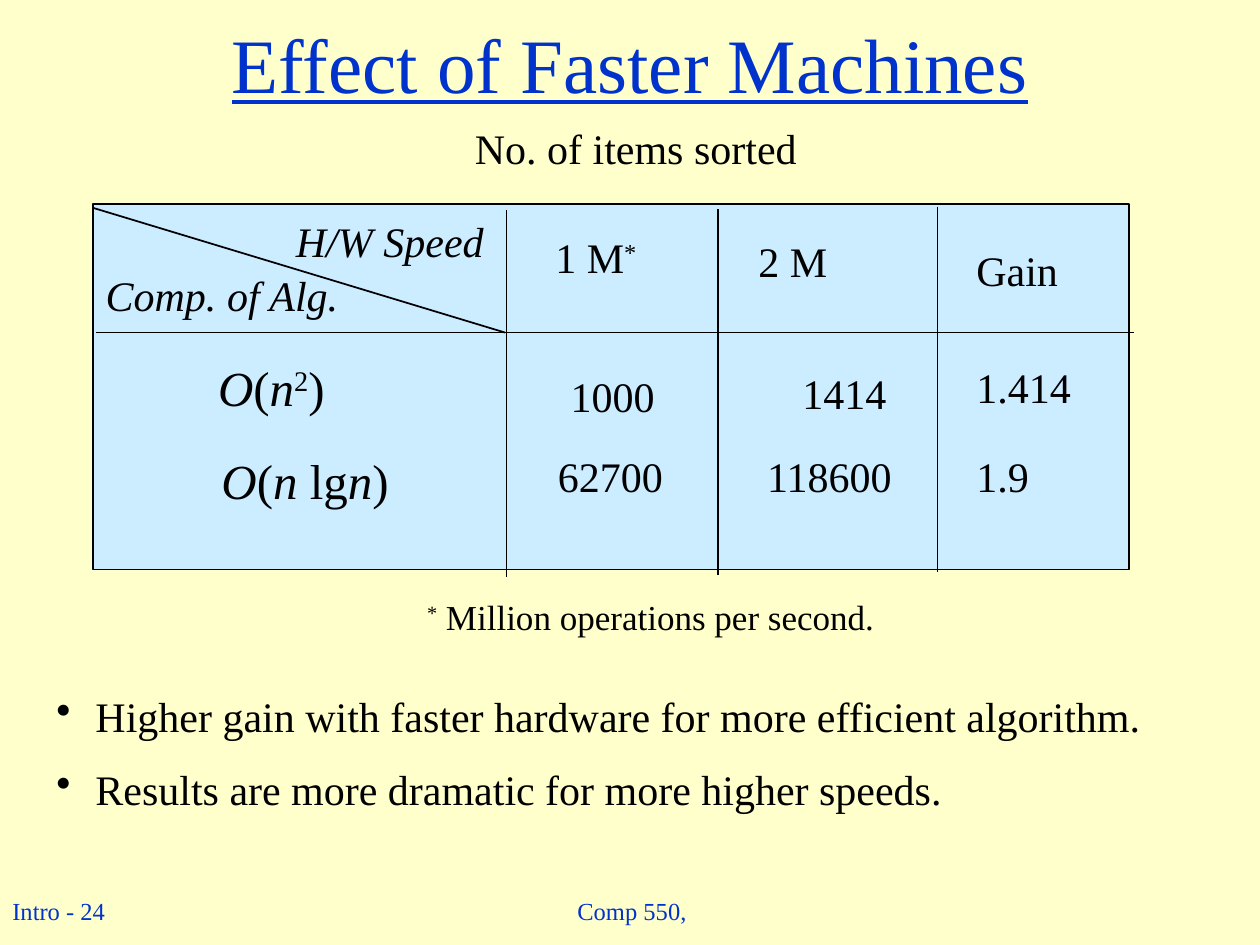
from lxml import etree
from pptx import Presentation
from pptx.dml.color import RGBColor
from pptx.enum.shapes import MSO_CONNECTOR, MSO_SHAPE
from pptx.enum.text import MSO_ANCHOR, PP_ALIGN
from pptx.oxml.ns import qn
from pptx.util import Inches, Pt

CENTER, LEFT = PP_ALIGN.CENTER, PP_ALIGN.LEFT
TOP, MIDDLE = MSO_ANCHOR.TOP, MSO_ANCHOR.MIDDLE
COLORS = {name: RGBColor.from_string(value) for name, value in {
    "background": "FFFFCC", "panel": "CCECFF", "blue": "0033CC", "black": "000000",
}.items()}


def write_runs(paragraph, runs, size=24, color="black", underline=None):
    """Add (text, style) runs; a style is "", "italic" or "super"."""
    for text, style in runs:
        run = paragraph.add_run()
        run.text = text
        font_format = {"name": "Times New Roman", "size": Pt(size),
                       "italic": style == "italic", "underline": underline}
        for attribute, value in font_format.items():
            setattr(run.font, attribute, value)
        run.font.color.rgb = COLORS[color]
        if style == "super":
            run._r.get_or_add_rPr().set("baseline", "30000")


def add_text(left, top, width, height, runs, align=LEFT, anchor=TOP, wrap=False, **font):
    box = slide.shapes.add_textbox(*map(Inches, (left, top, width, height)))
    frame = box.text_frame
    frame.word_wrap = wrap
    frame.vertical_anchor = anchor
    frame.paragraphs[0].alignment = align
    write_runs(frame.paragraphs[0], runs, **font)


presentation = Presentation()
presentation.slide_width, presentation.slide_height = Inches(10), Inches(7.5)
slide = presentation.slides.add_slide(presentation.slide_layouts[6])
slide.background.fill.solid()
slide.background.fill.fore_color.rgb = COLORS["background"]

# Footer and headings
add_text(0, 7.06, 0.97, 0.33, [("Intro - 24", "")], size=14, color="blue")
add_text(4, 6.98, 2.08, 0.5, [("Comp 550, ", "")], CENTER, MIDDLE, size=14, color="blue")
add_text(0, 0, 10, 1, [("Effect of Faster Machines", "")], CENTER, MIDDLE, True,
         size=44, color="blue", underline=True)
add_text(3.67, 0.92, 2.76, 0.5, [("No. of items sorted", "")])

# Conclusions
conclusions = slide.shapes.add_textbox(Inches(0.35), Inches(5.28), Inches(9.03), Inches(1.7))
conclusions.text_frame.word_wrap = True
conclusions.text_frame.margin_top = Inches(0.2)
for index, text in enumerate([
    "Higher gain with faster hardware for more efficient algorithm.",
    "Results are more dramatic for more higher speeds.",
]):
    frame = conclusions.text_frame
    paragraph = frame.add_paragraph() if index else frame.paragraphs[0]
    if index:
        paragraph.space_before = Pt(13)
    properties = paragraph._p.get_or_add_pPr()
    properties.set("marL", str(Inches(0.31)))
    properties.set("indent", str(-Inches(0.31)))
    etree.SubElement(properties, qn("a:buChar")).set("char", "•")
    write_runs(paragraph, [(text, "")])

# Comparison panel, which carries the quadratic row's label
panel = slide.shapes.add_shape(
    MSO_SHAPE.RECTANGLE, Inches(0.74), Inches(1.62), Inches(8.22), Inches(2.9))
panel.shadow.inherit = False
panel.fill.solid()
panel.fill.fore_color.rgb = COLORS["panel"]
panel.line.color.rgb = COLORS["black"]
panel.line.width = Pt(1)
panel.text_frame.vertical_anchor = MIDDLE
panel.text_frame.margin_left = Inches(0.99)
panel.text_frame.paragraphs[0].alignment = LEFT
write_runs(panel.text_frame.paragraphs[0],
           [("Ο", "italic"), ("(", ""), ("n", "italic"), ("2", "super"), (")", "")], size=28)

rules = [
    (0.76, 2.64, 9, 2.64),
    (4.02, 1.67, 4.02, 4.58),
    (7.44, 1.64, 7.44, 4.54),
    (5.7, 1.66, 5.7, 4.56),
    (0.74, 1.65, 4.01, 2.64),
]
for ends in rules:
    rule = slide.shapes.add_connector(MSO_CONNECTOR.STRAIGHT, *map(Inches, ends))
    rule.line.color.rgb = COLORS["black"]
    rule.line.width = Pt(1)
    etree.SubElement(rule._element.spPr, qn("a:effectLst"))

# Labels and values: left, top, width, runs
entries = [
    (2.25, 1.66, 1.69, [("H/W Speed", "italic")]),
    (0.74, 2.09, 2.05, [("Comp. of Alg.", "italic")]),
    (4.31, 1.79, 0.86, [("1 M", ""), ("*", "super")]),
    (5.92, 1.82, 0.75, [("2 M", "")]),
    (7.65, 1.89, 0.85, [("Gain", "")]),
    (4.43, 2.89, 0.87, [("1000", "")]),
    (6.27, 2.87, 0.87, [("1414", "")]),
    (7.65, 2.82, 0.95, [("1.414", "")]),
    (4.33, 3.53, 1.03, [("62700", "")]),
    (5.99, 3.53, 1.2, [("118600", "")]),
    (7.65, 3.53, 0.62, [("1.9", "")]),
]
for left, top, width, runs in entries:
    add_text(left, top, width, 0.5, runs)
add_text(1.66, 3.53, 1.53, 0.57,
         [("O", "italic"), ("(", ""), ("n ", "italic"), ("lg", ""), ("n", "italic"), (")", "")],
         size=28)
add_text(3.29, 4.68, 3.75, 0.43,
         [("*", "super"), (" Million operations per second.", "")], CENTER, size=20)

presentation.save("out.pptx")
